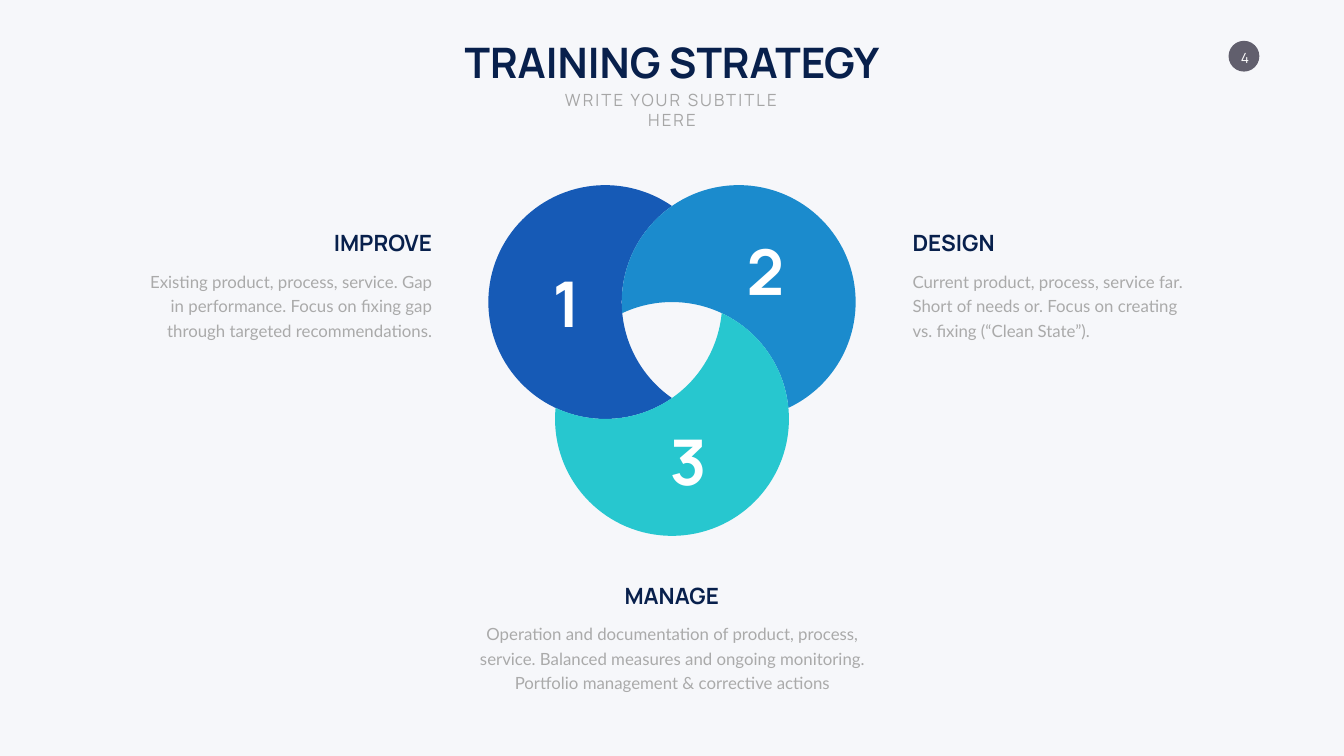
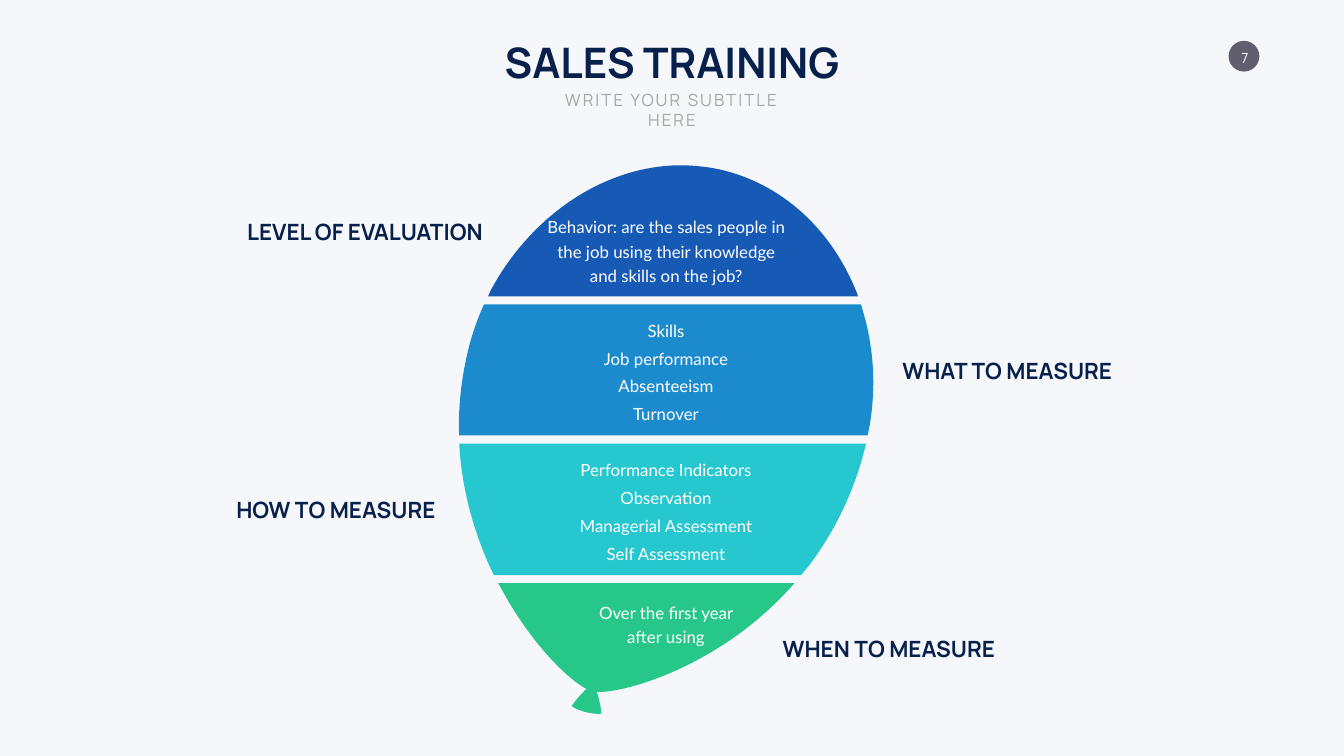
from dataclasses import dataclass
from math import acos, atan2, ceil, cos, dist, floor, pi, sin, tan

from pptx import Presentation
from pptx.dml.color import RGBColor
from pptx.enum.shapes import MSO_SHAPE
from pptx.enum.text import MSO_ANCHOR, MSO_AUTO_SIZE, PP_ALIGN
from pptx.oxml import parse_xml
from pptx.oxml.ns import nsdecls
from pptx.util import Pt


@dataclass(frozen=True)
class Theme:
    background: str = "F6F7FA"
    navy: str = "08204C"
    subtitle_gray: str = "A6A6A6"
    body_gray: str = "AAAAAA"
    badge: str = "615F6D"
    white: str = "FFFFFF"
    accents: tuple = ("165AB6", "1B8BCD", "27C7CF", "27C78A")
    heading_font: str = "Manrope"
    body_font: str = "Lato"
    title_size: int = 60
    heading_size: int = 32
    text_size: int = 24
    page_size: int = 20
    number_size: int = 90
    line_height: int = 35
    paragraph_gap: float = 4.8


THEME = Theme()
SLIDE_WIDTH, SLIDE_HEIGHT = 1919.52, 1080
LEFT, CENTER, RIGHT = PP_ALIGN.LEFT, PP_ALIGN.CENTER, PP_ALIGN.RIGHT

CIRCLE_RADIUS = 167
CIRCLE_CENTERS = [(864.5, 431.5), (1055, 431.5), (959.75, 598.5)]

LABEL_TOP, LABEL_PITCH = 307.1, 198.9
BALLOON_BANDS = [
    ((977.8, 236.2), [
        [(997.2, 236.9), (1016.6, 239), (1036.1, 244.1)],
        [(1123.9, 267.1), (1190.2, 333.4), (1224, 419)],
        [(1225.4, 423.4)], [(697, 423.4)], [(701.3, 414)],
        [(759.6, 306), (866.9, 234), (977.8, 236.2)],
    ]),
    ((691.2, 434.9), [
        [(1229.8, 434.9)], [(1233.4, 447.8)],
        [(1247.8, 497.5), (1251.4, 552.2), (1242, 608.4)],
        [(1239.1, 622.1)], [(655.9, 622.1)], [(655.2, 612.7)],
        [(655.2, 575.3), (659.5, 536.4), (669.6, 496.1)],
        [(674.6, 476.6), (681.1, 457.9), (689, 439.9)],
    ]),
    ((655.9, 633.6), [
        [(1237, 633.6)], [(1234.8, 642.2)],
        [(1218.2, 707.8), (1189.4, 762.5), (1155.6, 807.8)],
        [(1144.1, 821.5)], [(705.6, 821.5)], [(699.8, 810)],
        [(676.8, 758.9), (659.5, 699.8), (655.9, 634.3)],
    ]),
    ((711.4, 833), [
        [(1134.7, 833)], [(1129, 839.5)],
        [(1029, 950.4), (895, 990), (852.5, 988.6)],
        [(856.1, 999.4), (859, 1015.2), (859, 1019.5)],
        [(859, 1019.5), (852.5, 1021), (836.6, 1017.4)],
        [(820.8, 1013), (816.5, 1008.7), (816.5, 1008.7)],
        [(820.8, 1001.5), (830.2, 991.4), (837.4, 984.2)],
        [(811.4, 970.6), (758.2, 919.4), (716.4, 841.7)],
    ]),
]


def color(value):
    return RGBColor.from_string(value)


def write_text(frame, lines, font, size, text_color, align, bold=False,
               line_height=None, gap=0, tracking=None):
    for index, line in enumerate(lines):
        paragraph = frame.add_paragraph() if index else frame.paragraphs[0]
        paragraph.alignment = align
        if line_height:
            paragraph.line_spacing = Pt(line_height)
        if index and gap:
            paragraph.space_before = Pt(gap)
        run = paragraph.add_run()
        run.text = line
        run.font.name = font
        run.font.size = Pt(size)
        run.font.bold = bold
        run.font.color.rgb = color(text_color)
        if tracking:
            run.font._element.set("spc", str(tracking * 100))


def add_text_box(slide, box, anchor=MSO_ANCHOR.TOP, wrap=True):
    frame = slide.shapes.add_textbox(*map(Pt, box)).text_frame
    frame.word_wrap = wrap
    frame.auto_size = MSO_AUTO_SIZE.SHAPE_TO_FIT_TEXT
    frame.vertical_anchor = anchor
    return frame


def add_heading(slide, text, box, align, wrap=True):
    frame = add_text_box(slide, box, MSO_ANCHOR.BOTTOM, wrap)
    write_text(frame, [text], THEME.heading_font, THEME.heading_size,
               THEME.navy, align, bold=True)


def add_body(slide, lines, box, align, text_color, anchor=MSO_ANCHOR.TOP):
    frame = add_text_box(slide, box, anchor)
    write_text(frame, lines, THEME.body_font, THEME.text_size, text_color, align,
               line_height=THEME.line_height, gap=THEME.paragraph_gap)


def add_number(slide, number, box):
    frame = add_text_box(slide, box, MSO_ANCHOR.MIDDLE, wrap=False)
    write_text(frame, [number], THEME.heading_font, THEME.number_size,
               THEME.white, CENTER, bold=True)


def paint(shape, fill):
    shape.shadow.inherit = False
    shape.fill.solid()
    shape.fill.fore_color.rgb = color(fill)
    shape.line.fill.background()


def add_outline(slide, start, segments, fill):
    builder = slide.shapes.build_freeform(*map(Pt, start))
    builder.add_line_segments(
        [(Pt(x), Pt(y)) for segment in segments for x, y in segment], close=True)
    shape = builder.convert_to_shape()
    paint(shape, fill)
    lines = iter(shape._element.xpath(".//a:path/a:lnTo"))
    for segment in segments:
        group = [next(lines) for _ in segment]
        if len(group) == 3:
            curve = parse_xml(f"<a:cubicBezTo {nsdecls('a')}/>")
            group[0].addprevious(curve)
            for line in group:
                curve.append(line[0])
                line.getparent().remove(line)


def circle_point(center, angle):
    return (center[0] + CIRCLE_RADIUS * cos(angle),
            center[1] + CIRCLE_RADIUS * sin(angle))


def arc(center, start, end):
    low, high = sorted((start, end))
    quarter = pi / 2
    cuts = [step * quarter for step in range(ceil(low / quarter), floor(high / quarter) + 1)]
    angles = sorted([low, *cuts, high], reverse=end < start)
    segments = []
    for first, second in zip(angles, angles[1:]):
        pull = 4 / 3 * tan((second - first) / 4) * CIRCLE_RADIUS
        x1, y1 = circle_point(center, first)
        x2, y2 = circle_point(center, second)
        segments.append([(x1 - pull * sin(first), y1 + pull * cos(first)),
                         (x2 + pull * sin(second), y2 - pull * cos(second)),
                         (x2, y2)])
    return segments


def add_crescent(slide, center, cover, fill):
    toward = atan2(cover[1] - center[1], cover[0] - center[0])
    half = acos(dist(center, cover) / 2 / CIRCLE_RADIUS)
    outer = arc(center, toward + half, toward + 2 * pi - half)
    inner = arc(cover, toward + pi + half, toward + pi - half)
    add_outline(slide, circle_point(center, toward + half), outer + inner, fill)


def add_page_badge(slide, page):
    badge = slide.shapes.add_shape(MSO_SHAPE.OVAL, Pt(1754.64), Pt(58.32), Pt(44), Pt(44))
    paint(badge, THEME.badge)
    frame = add_text_box(slide, (1763.28, 69.84, 29.52, 24.48), MSO_ANCHOR.MIDDLE, wrap=False)
    frame.margin_left = frame.margin_right = frame.margin_top = frame.margin_bottom = 0
    write_text(frame, [page], THEME.heading_font, THEME.page_size, THEME.white, CENTER)


def add_slide(presentation, title, title_width, page):
    slide = presentation.slides.add_slide(presentation.slide_layouts[6])
    add_page_badge(slide, page)
    title_box = ((SLIDE_WIDTH - title_width) / 2, 48.24, title_width, 80)
    write_text(add_text_box(slide, title_box, wrap=False), [title], THEME.heading_font,
               THEME.title_size, THEME.navy, CENTER, bold=True)
    subtitle_box = ((SLIDE_WIDTH - 391) / 2, 124.2, 391, 36)
    write_text(add_text_box(slide, subtitle_box), ["WRITE YOUR SUBTITLE HERE"],
               THEME.heading_font, THEME.text_size, THEME.subtitle_gray, CENTER, tracking=3)
    return slide


def build_strategy(presentation):
    slide = add_slide(presentation, "TRAINING STRATEGY", 633.6, "4")
    for index, center in enumerate(CIRCLE_CENTERS):
        cover = CIRCLE_CENTERS[(index + 1) % len(CIRCLE_CENTERS)]
        add_crescent(slide, center, cover, THEME.accents[index])

    numbers = [(782.2, 376.56, 46), (1059.4, 331.2, 62.64), (949.68, 603.36, 65.52)]
    for index, (left, top, width) in enumerate(numbers, 1):
        add_number(slide, str(index), (left, top, width, 109.44))

    steps = [
        ("DESIGN", "Current product, process, service far. Short of needs or. "
         "Focus on creating vs. fixing (“Clean State”).",
         (1296.2, 323.6, 420), (1296.2, 378, 420), LEFT),
        ("IMPROVE", "Existing product, process, service. Gap in performance. "
         "Focus on fixing gap through targeted recommendations.",
         (203.6, 323.6, 420.48), (203.6, 378, 420.48), RIGHT),
        ("MANAGE", "Operation and documentation of product, process, service. "
         "Balanced measures and ongoing monitoring. "
         "Portfolio management & corrective actions",
         (756, 828, 406.8), (665.28, 881.28, 589.68), CENTER),
    ]
    for heading, body, heading_box, body_box, align in steps:
        add_heading(slide, heading, (*heading_box, 46), align)
        add_body(slide, [body], (*body_box, 109.44), align, THEME.body_gray)


def build_sales(presentation):
    slide = add_slide(presentation, "SALES TRAINING", 501.84, "7")
    for (start, segments), fill in zip(BALLOON_BANDS, THEME.accents):
        add_outline(slide, start, segments, fill)

    band_texts = [
        (["Skills", "Job performance", "Absenteeism", "Turnover"],
         (711.36, 447.3, 479.52, 162.72)),
        (["Performance Indicators", "Observation", "Managerial Assessment",
          "Self Assessment"], (734.4, 646.3, 433.44, 162.72)),
        (["Behavior: are the sales people in the job using their knowledge "
          "and skills on the job?"], (768.24, 301.68, 366.48, 109.44)),
        (["Over the first year after using"], (831.6, 852.2, 239.04, 74.16)),
    ]
    for lines, box in band_texts:
        add_body(slide, lines, box, CENTER, THEME.white, MSO_ANCHOR.MIDDLE)

    labels = [
        ("LEVEL OF EVALUATION", 0, 331.2, 365.76, RIGHT),
        ("HOW TO MEASURE", 2, 321.84, 307.44, RIGHT),
        ("WHAT TO MEASURE", 1, 1281.8, 324.72, LEFT),
        ("WHEN TO MEASURE", 3, 1110.8, 324, LEFT),
    ]
    for text, band, left, width, align in labels:
        box = (left, LABEL_TOP + band * LABEL_PITCH, width, 46)
        add_heading(slide, text, box, align, wrap=False)


def main():
    presentation = Presentation()
    presentation.slide_width = Pt(SLIDE_WIDTH)
    presentation.slide_height = Pt(SLIDE_HEIGHT)
    background = presentation.slide_master.background.fill
    background.solid()
    background.fore_color.rgb = color(THEME.background)
    build_strategy(presentation)
    build_sales(presentation)
    presentation.save("out.pptx")


if __name__ == "__main__":
    main()
